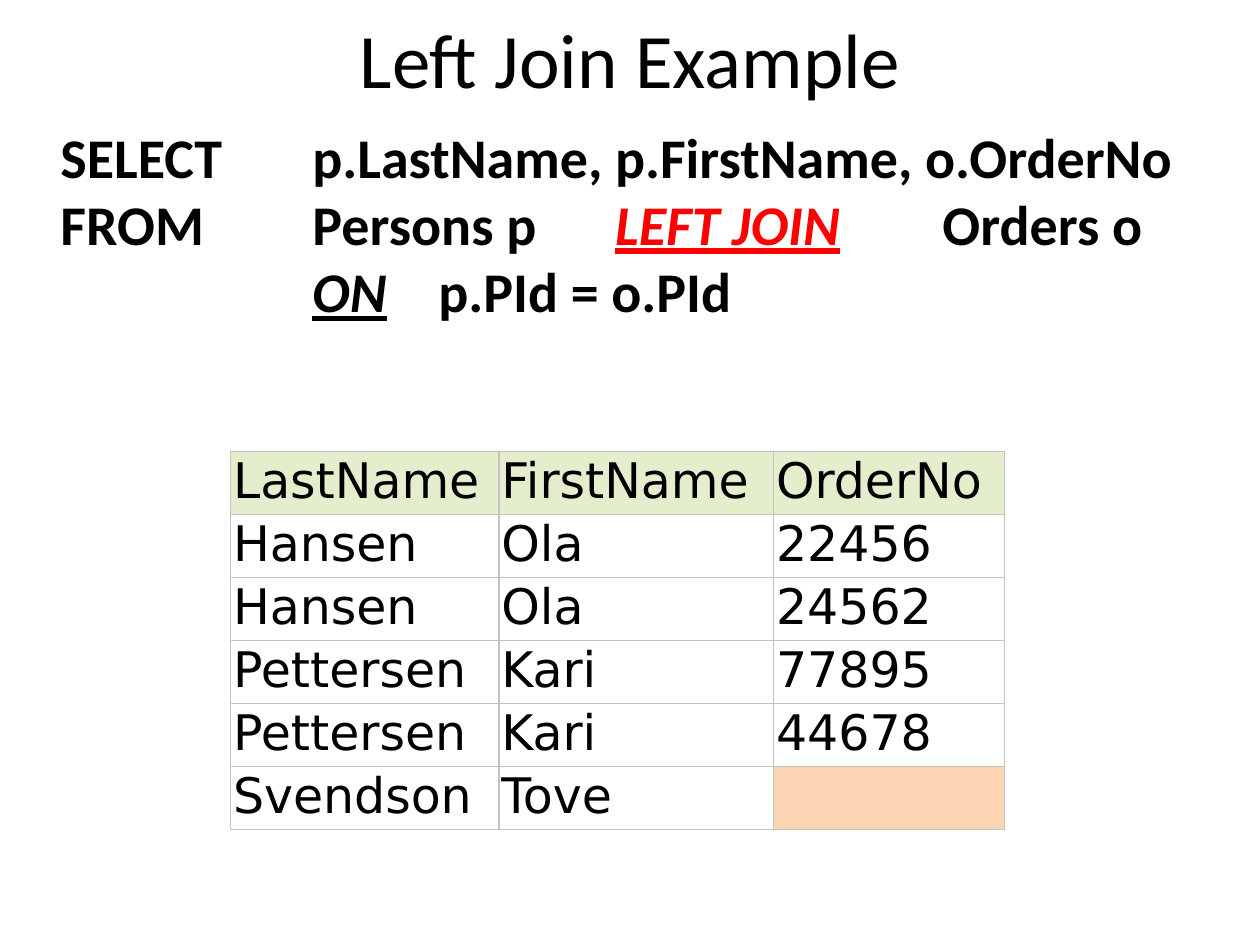
from dataclasses import dataclass

from lxml.etree import SubElement
from pptx import Presentation
from pptx.dml.color import RGBColor as RGB
from pptx.enum.text import MSO_ANCHOR as Anchor, MSO_AUTO_SIZE as AutoSize, PP_ALIGN as Align
from pptx.oxml.ns import qn
from pptx.util import Inches, Pt


@dataclass(frozen=True)
class Theme:
    text_font: str = "Calibri"
    table_font: str = "DejaVu Sans"
    title_size: int = 44
    query_size: int = 32
    table_size: int = 28
    ink: str = "000000"
    accent: str = "FF0000"
    header_fill: str = "E5EECC"
    row_fill: str = "FFFFFF"
    null_fill: str = "FBD4B4"
    border: str = "C3C3C3"


THEME = Theme()

WIDE_GAP = " "
GAP_SPACING = 21.7
QUERY_LINES = (
    (("SELECT\tp.LastName, p.FirstName, o.OrderNo", None),),
    (("FROM\tPersons p\t", None), (WIDE_GAP, None),
     ("LEFT JOIN", THEME.accent), ("\tOrders o", None)),
    (("\t\t", None), ("ON", THEME.ink), ("\tp.PId = o.PId", None)),
)

RESULT_ROWS = (
    ("LastName", "FirstName", "OrderNo"),
    ("Hansen", "Ola", "22456"),
    ("Hansen", "Ola", "24562"),
    ("Pettersen", "Kari", "77895"),
    ("Pettersen", "Kari", "44678"),
    ("Svendson", "Tove", ""),
)
COLUMN_WIDTHS = (2.13, 2.18, 1.83)
ROW_HEIGHT = 0.5


def place(shape, left, top, width, height):
    shape.left, shape.top = Inches(left), Inches(top)
    shape.width, shape.height = Inches(width), Inches(height)


def style_font(font, name, size):
    font.name = name
    font.size = Pt(size)
    font.color.rgb = RGB.from_string(THEME.ink)


def add_title(slide, text):
    title = slide.shapes.title
    place(title, 0, 0, 10, 0.92)
    frame = title.text_frame
    frame.text = text
    frame.auto_size = AutoSize.NONE
    frame.vertical_anchor = Anchor.MIDDLE
    heading = frame.paragraphs[0]
    heading.alignment = Align.CENTER
    style_font(heading.font, THEME.text_font, THEME.title_size)


def set_indent_and_tabs(paragraph, indent, tab_step):
    properties = paragraph._p.get_or_add_pPr()
    properties.set("marL", str(Inches(indent)))
    properties.set("indent", "0")
    properties.set("defTabSz", str(Inches(tab_step)))
    SubElement(properties, qn("a:buNone"))


def add_query(slide, lines):
    body = slide.placeholders[1]
    place(body, 0, 0.92, 10, 6.58)
    frame = body.text_frame
    frame.auto_size = AutoSize.NONE
    query = frame.paragraphs[0]
    set_indent_and_tabs(query, 0.38, 1)
    query.space_before = Pt(0)
    style_font(query.font, THEME.text_font, THEME.query_size)
    query.font.bold = True
    for number, line in enumerate(lines):
        if number:
            query.add_line_break()
        for text, keyword_color in line:
            run = query.add_run()
            run.text = text
            if text == WIDE_GAP:
                run._r.get_or_add_rPr().set("spc", str(round(GAP_SPACING * 100)))
            if keyword_color:
                run.font.italic = run.font.underline = True
                run.font.color.rgb = RGB.from_string(keyword_color)


def add_borders(cell):
    properties = cell._tc.get_or_add_tcPr()
    for side in ("lnL", "lnR", "lnT", "lnB"):
        line = SubElement(properties, qn(f"a:{side}"), w=str(Pt(0.75)))
        fill = SubElement(line, qn("a:solidFill"))
        SubElement(fill, qn("a:srgbClr"), val=THEME.border)


def fill_cell(cell, text, color):
    add_borders(cell)
    cell.fill.solid()
    cell.fill.fore_color.rgb = RGB.from_string(color)
    cell.margin_left = cell.margin_right = Inches(0.02)
    cell.margin_top = cell.margin_bottom = Inches(0.02)
    cell.text = text
    content = cell.text_frame.paragraphs[0]
    style_font(content.font, THEME.table_font, THEME.table_size)
    content.font.bold = False


def add_result(slide, rows):
    table = slide.shapes.add_table(
        len(rows), len(COLUMN_WIDTHS), Inches(1.83), Inches(3.58),
        Inches(sum(COLUMN_WIDTHS)), Inches(ROW_HEIGHT * len(rows)),
    ).table
    table.horz_banding = False
    for column, width in zip(table.columns, COLUMN_WIDTHS):
        column.width = Inches(width)
    for r, values in enumerate(rows):
        for c, value in enumerate(values):
            if r == 0:
                color = THEME.header_fill
            else:
                color = THEME.row_fill if value else THEME.null_fill
            fill_cell(table.cell(r, c), value, color)


def main():
    deck = Presentation()
    deck.slide_width, deck.slide_height = Inches(10), Inches(7.5)
    slide = deck.slides.add_slide(deck.slide_layouts[1])
    add_title(slide, "Left Join Example")
    add_query(slide, QUERY_LINES)
    add_result(slide, RESULT_ROWS)
    deck.save("out.pptx")


if __name__ == "__main__":
    main()
